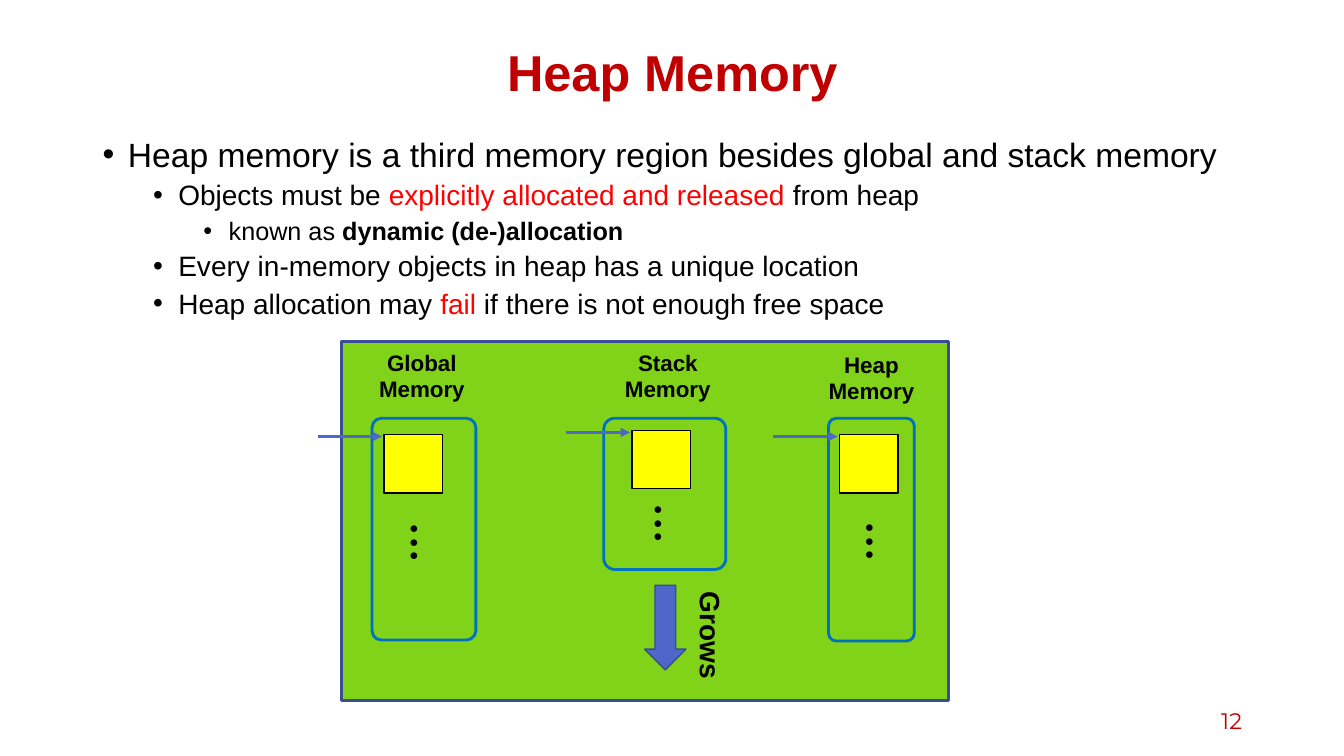
from dataclasses import dataclass
from typing import NamedTuple, Optional

from lxml.etree import SubElement
from pptx import Presentation
from pptx.dml.color import RGBColor as RGB
from pptx.enum.shapes import MSO_CONNECTOR as CONN, MSO_SHAPE as SHAPE
from pptx.enum.text import MSO_ANCHOR as ANCHOR, MSO_AUTO_SIZE as FIT, PP_ALIGN as ALIGN
from pptx.oxml.ns import qn
from pptx.util import Inches, Pt

WIDTH, HEIGHT = Inches(13.33), Inches(7.5)


@dataclass(frozen=True)
class Theme:
    font: str = "Arial"
    number_font: str = "Montserrat"
    black: str = "000000"
    title: str = "C00000"
    accent: str = "FF0000"
    panel: str = "81D31A"
    edge: str = "3A4C94"
    arrow: str = "4E67C8"
    frame: str = "0070C0"
    cell: str = "FFFF00"
    title_pt: int = 36
    number_pt: int = 16
    label_pt: int = 16
    grows_pt: int = 20
    dots_pt: int = 11
    level_pts: tuple = (24, 20, 18)


class Box(NamedTuple):
    """Left, top, width and height in percent of the slide."""
    x: float
    y: float
    w: float
    h: float

    def emu(self) -> tuple:
        return across(self.x), down(self.y), across(self.w), down(self.h)


class Span(NamedTuple):
    text: str
    color: str
    bold: bool = False


class Bullet(NamedTuple):
    level: int
    spans: tuple


@dataclass(frozen=True)
class Region:
    name: str
    label: tuple
    frame: Box
    cell: tuple
    dots: tuple


T = Theme()

BULLETS = (
    Bullet(0, (Span("Heap memory is a third memory region besides global and stack memory", T.black),)),
    Bullet(1, (Span("Objects must be ", T.black),
               Span("explicitly allocated and released ", T.accent),
               Span("from heap", T.black))),
    Bullet(2, (Span("known as ", T.black), Span("dynamic (de-)allocation", T.black, True))),
    Bullet(1, (Span("Every in-memory objects in heap has a unique location", T.black),)),
    Bullet(1, (Span("Heap allocation may ", T.black), Span("fail", T.accent),
               Span(" if there is not enough free space", T.black))),
)

REGIONS = (
    Region("Global", (25.8, 45.47), Box(27.68, 55.33, 7.73, 29.33), (28.58, 57.47), (27.75, 71.73)),
    Region("Stack", (44.1, 45.47), Box(44.93, 55.33, 9.08, 20), (47.03, 56.93), (45.9, 69.2)),
    Region("Heap", (59.25, 45.73), Box(61.65, 55.33, 6.38, 29.47), (62.48, 57.47), (61.65, 71.6)),
)


def across(share: float) -> int:
    return round(WIDTH * share / 100)


def down(share: float) -> int:
    return round(HEIGHT * share / 100)


def style(r, size: float, color: str, bold: bool = False, font: str = T.font) -> None:
    r.font.name, r.font.size, r.font.bold = font, Pt(size), bold
    r.font.color.rgb = RGB.from_string(color)


def add_text(s, box: Box, text: str, size: float, color: str = T.black, bold: bool = False,
             align=ALIGN.LEFT, anchor=ANCHOR.TOP, font: str = T.font,
             turn: float = 0, grow: bool = False):
    sp = s.shapes.add_textbox(*box.emu())
    sp.rotation = turn
    tf = sp.text_frame
    tf.text = text
    tf.word_wrap = True
    tf.vertical_anchor = anchor
    tf.auto_size = FIT.SHAPE_TO_FIT_TEXT if grow else FIT.NONE
    for p in tf.paragraphs:
        p.alignment = align
        for r in p.runs:
            style(r, size, color, bold, font)
    return sp


def add_bullets(s, box: Box, bullets: tuple) -> None:
    tf = s.shapes.add_textbox(*box.emu()).text_frame
    tf.word_wrap = True
    for i, bullet in enumerate(bullets):
        p = tf.add_paragraph() if i else tf.paragraphs[0]
        pPr = p._p.get_or_add_pPr()
        pPr.set("marL", str(Inches(0.25 + 0.5 * bullet.level)))
        pPr.set("indent", str(Inches(-0.25)))
        SubElement(pPr, qn("a:buFont")).set("typeface", T.font)
        SubElement(pPr, qn("a:buChar")).set("char", "•")
        p.level = bullet.level
        p.line_spacing = 0.9
        if i:
            p.space_before = Pt(5)
        for span in bullet.spans:
            r = p.add_run()
            r.text = span.text
            style(r, T.level_pts[bullet.level], span.color, span.bold)


def add_block(s, kind, box: Box, line: str, weight: float,
              fill: Optional[str] = None, turn: float = 0):
    sp = s.shapes.add_shape(kind, *box.emu())
    sp.shadow.inherit = False
    sp.rotation = turn
    if fill:
        sp.fill.solid()
        sp.fill.fore_color.rgb = RGB.from_string(fill)
    else:
        sp.fill.background()
    sp.line.color.rgb = RGB.from_string(line)
    sp.line.width = Pt(weight)
    return sp


def add_pointer(s, x: float, y: float, length: float) -> None:
    """Draw a horizontal arrow whose tip is at x, y."""
    cn = s.shapes.add_connector(CONN.STRAIGHT, across(x - length), down(y), across(x), down(y))
    cn.line.color.rgb = RGB.from_string(T.arrow)
    cn.line.width = Pt(2.25)
    SubElement(cn.line._get_or_add_ln(), qn("a:tailEnd")).set("type", "triangle")
    SubElement(cn._element.spPr, qn("a:effectLst"))


def add_region(s, region: Region) -> None:
    frame = add_block(s, SHAPE.ROUNDED_RECTANGLE, region.frame, T.frame, 2)
    frame.adjustments[0] = 0.09
    add_text(s, Box(*region.label, 11.18, 8.53), f"{region.name}\nMemory", T.label_pt,
             bold=True, align=ALIGN.CENTER, grow=True)
    x, y = region.cell
    add_block(s, SHAPE.RECTANGLE, Box(x, y, 4.35, 7.73), T.black, 1, T.cell)
    add_pointer(s, x - 0.15, y + 0.27, 4.8)
    add_text(s, Box(*region.dots, 6.3, 3.87), "● ● ●", T.dots_pt, turn=90, grow=True)


def main() -> None:
    prs = Presentation()
    prs.slide_width, prs.slide_height = WIDTH, HEIGHT
    s = prs.slides.add_slide(prs.slide_layouts[6])

    # Title, bullets and slide number
    title = add_text(s, Box(6.9, 5.33, 86.25, 9.33), "Heap Memory", T.title_pt, T.title, True,
                     ALIGN.CENTER, ANCHOR.MIDDLE)
    title.text_frame.paragraphs[0].line_spacing = 0.9
    add_bullets(s, Box(6.9, 17.6, 86.25, 73.47), BULLETS)
    add_text(s, Box(70.65, 92.67, 22.5, 5.33), "12", T.number_pt, T.title,
             align=ALIGN.RIGHT, anchor=ANCHOR.MIDDLE, font=T.number_font)

    # Memory panel with its three regions
    add_block(s, SHAPE.RECTANGLE, Box(25.43, 45.2, 45.15, 47.47), T.edge, 2.25, T.panel)
    for region in REGIONS:
        add_region(s, region)

    # Growth direction of the stack
    add_block(s, SHAPE.RIGHT_ARROW, Box(46.35, 80.27, 6.3, 5.47), T.edge, 1, T.arrow, turn=90)
    add_text(s, Box(48.68, 81.47, 8.4, 5.87), "Grows", T.grows_pt, bold=True, turn=90, grow=True)

    prs.save("out.pptx")


if __name__ == "__main__":
    main()
